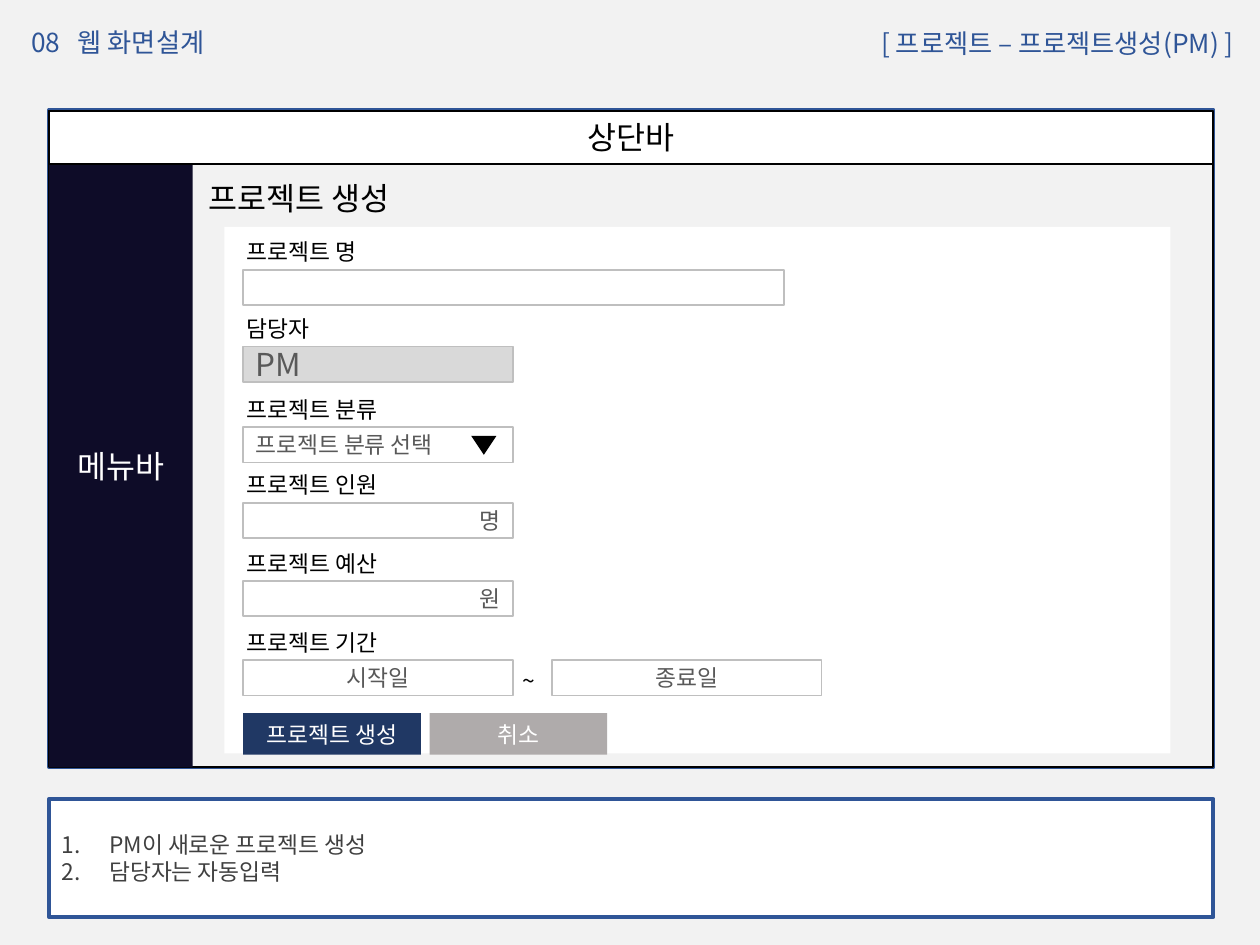
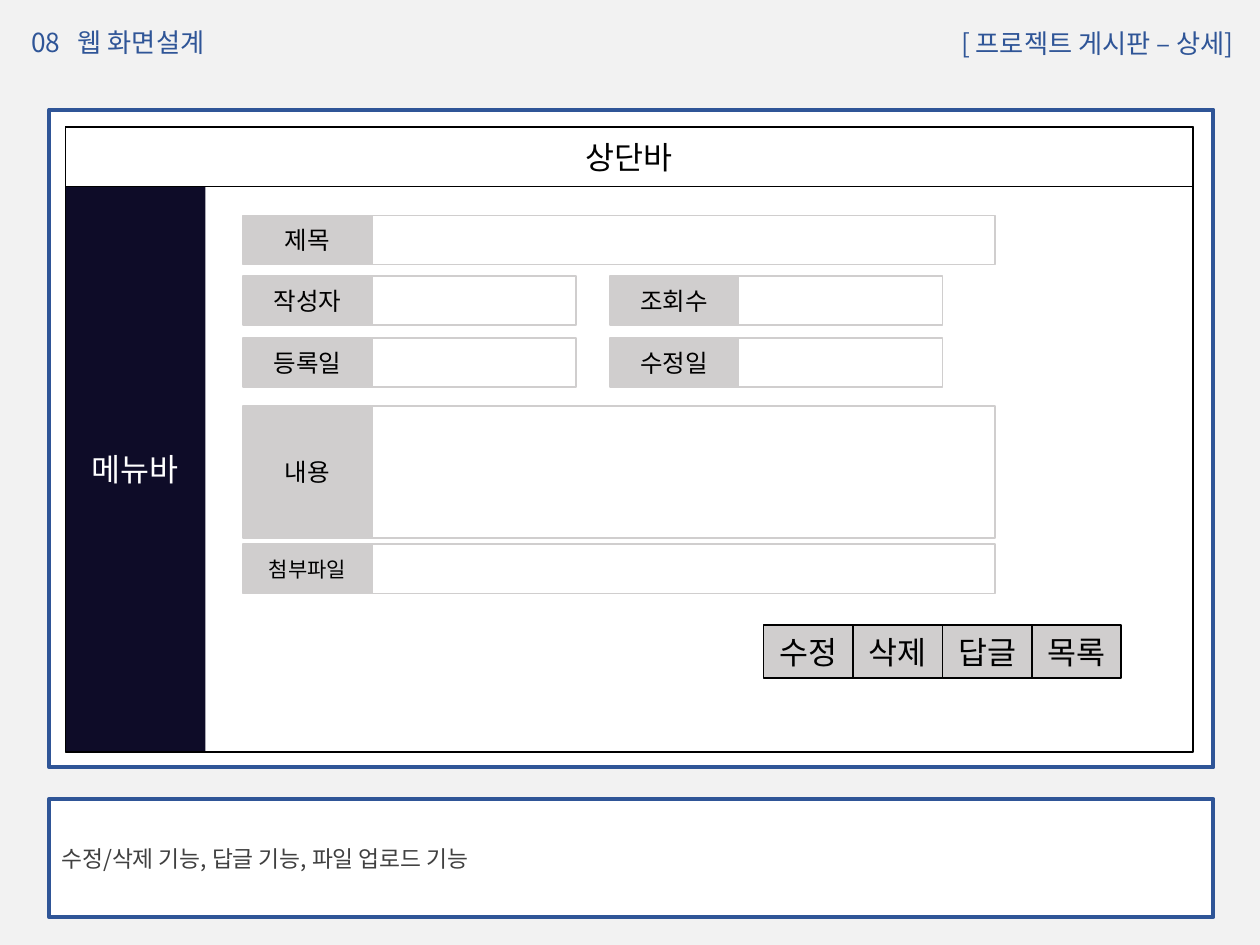
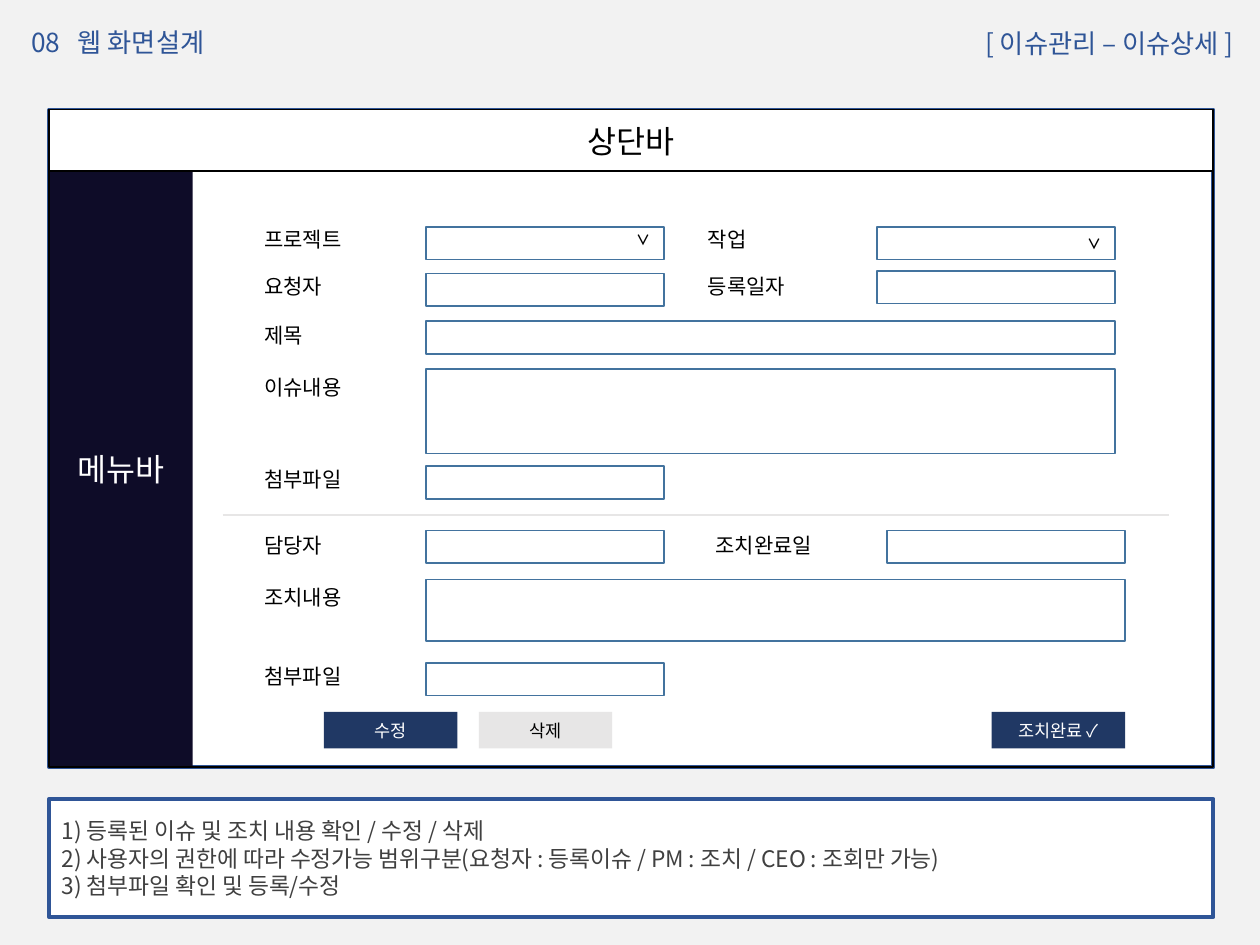
from dataclasses import dataclass

from lxml.etree import SubElement
from pptx import Presentation
from pptx.dml.color import RGBColor
from pptx.enum.shapes import MSO_CONNECTOR, MSO_SHAPE as Geo
from pptx.enum.text import MSO_ANCHOR, MSO_AUTO_SIZE, PP_ALIGN as Align
from pptx.oxml.ns import qn
from pptx.util import Inches, Pt


@dataclass(frozen=True)
class Theme:
    font: str = "Noto Sans CJK KR"
    alt_font: str = "Calibri"
    blue: str = "2F5597"
    navy: str = "203864"
    menu: str = "0E0C28"
    page: str = "F2F2F2"
    white: str = "FFFFFF"
    black: str = "000000"
    note: str = "404040"
    hint: str = "595959"
    border: str = "BFBFBF"
    locked: str = "D9D9D9"
    cancel: str = "AFABAB"
    cell: str = "D0CECE"
    steel: str = "43739E"
    pale: str = "E7E6E6"
    bar_size: float = 18
    title_size: float = 15
    cell_size: float = 14
    body_size: float = 13
    label_size: float = 12
    button_size: float = 10
    mark_size: float = 8


T = Theme()


@dataclass(frozen=True)
class Area:
    x: float
    y: float
    w: float
    h: float

    def emu(self) -> tuple:
        return tuple(Inches(v) for v in (self.x, self.y, self.w, self.h))


@dataclass(frozen=True)
class Style:
    size: float = T.body_size
    color: str = T.black
    align: Align = Align.LEFT
    font: str = T.font
    bold: bool = False


@dataclass(frozen=True)
class Paint:
    fill: str | None = None
    line: str | None = None
    width: float = 1


@dataclass(frozen=True)
class Field:
    area: Area
    label: str
    text: str = ""
    align: Align = Align.LEFT
    fill: str = T.white
    size: float = T.body_size


FRAME = Area(0.39, 0.87, 9.24, 5.22)
NOTES = Area(0.39, 6.34, 9.24, 0.94)
PANEL = Paint(T.white, T.blue, 2.25)
INPUT = Paint(line=T.steel)
LABEL = Style(T.label_size)


def write(tf, lines: list[str], style: Style, numbered: bool = False, tab: float = 0) -> None:
    for i, line in enumerate(lines):
        p = tf.paragraphs[0] if i == 0 else tf.add_paragraph()
        p.alignment = style.align
        pPr = p._p.get_or_add_pPr()
        if numbered:
            pPr.set("marL", str(Inches(0.38)))
            pPr.set("indent", str(-Inches(0.38)))
            SubElement(pPr, qn("a:buFont"), typeface=style.font)
            SubElement(pPr, qn("a:buAutoNum"), type="arabicPeriod")
        if tab:
            tabs = SubElement(pPr, qn("a:tabLst"))
            SubElement(tabs, qn("a:tab"), pos=str(Inches(tab)), algn="l")
        r = p.add_run()
        r.text = line
        formats = {"name": style.font, "size": Pt(style.size), "bold": style.bold}
        for key, value in formats.items():
            setattr(r.font, key, value)
        r.font.color.rgb = RGBColor.from_string(style.color)
        SubElement(r._r.get_or_add_rPr(), qn("a:ea"), typeface=style.font)


def box(s, area: Area, paint: Paint, lines: list[str] | str = "", style: Style = Style(),
        numbered: bool = False, geo: Geo = Geo.RECTANGLE):
    sp = s.shapes.add_shape(geo, *area.emu())
    sp.shadow.inherit = False
    for fill, color in ((sp.fill, paint.fill), (sp.line.fill, paint.line)):
        if color:
            fill.solid()
            fill.fore_color.rgb = RGBColor.from_string(color)
        else:
            fill.background()
    if paint.line:
        sp.line.width = Pt(paint.width)
    if lines:
        sp.text_frame.vertical_anchor = MSO_ANCHOR.MIDDLE
        sp.text_frame.word_wrap = True
        write(sp.text_frame, [lines] if isinstance(lines, str) else lines, style, numbered)
    return sp


def label(s, area: Area, text: str, style: Style = Style(), wrap: bool = True,
          tab: float = 0) -> None:
    tf = s.shapes.add_textbox(*area.emu()).text_frame
    tf.word_wrap = wrap
    tf.auto_size = MSO_AUTO_SIZE.SHAPE_TO_FIT_TEXT
    write(tf, [text], style, tab=tab)


def rule(s, x1: float, x2: float, y: float) -> None:
    line = s.shapes.add_connector(MSO_CONNECTOR.STRAIGHT, Inches(x1), Inches(y),
                                  Inches(x2), Inches(y))
    line.line.color.rgb = RGBColor.from_string(T.pale)
    line.line.width = Pt(1)
    SubElement(line._element.spPr, qn("a:effectLst"))


def base_slide(prs, title: str, notes: list[str], numbered: bool = False):
    """Add a slide with the heading, the screen frame and the notes panel."""
    s = prs.slides.add_slide(prs.slide_layouts[6])
    box(s, Area(0, 0, 10, 7.5), Paint(T.page))
    box(s, FRAME, PANEL)
    box(s, NOTES, PANEL, notes, Style(color=T.note), numbered)
    label(s, Area(0.15, 0.16, 2.94, 0.35), "08\t웹 화면설계",
          Style(T.title_size, T.blue), tab=0.37)
    label(s, Area(5.89, 0.17, 4, 0.35), title, Style(T.title_size, T.blue, Align.RIGHT))
    return s


def app_shell(s, area: Area, bar_h: float, menu_w: float, font: str = T.font,
              fill: str | None = None) -> None:
    """Draw the top bar, the side menu and the outline of the mocked-up screen."""
    outline = Paint(fill, T.black)
    if fill:
        box(s, area, outline)
    box(s, Area(area.x, area.y + bar_h, menu_w, area.h - bar_h), Paint(T.menu), "메뉴바",
        Style(T.bar_size, T.white, Align.CENTER, font))
    box(s, Area(area.x, area.y, area.w, bar_h), Paint(T.white, T.black), "상단바",
        Style(T.bar_size, T.black, Align.CENTER, font))
    if not fill:
        box(s, area, outline)


def project_form(prs) -> None:
    s = base_slide(prs, "[ 프로젝트 – 프로젝트생성(PM) ]",
                   ["PM이 새로운 프로젝트 생성", "담당자는 자동입력"], numbered=True)
    app_shell(s, Area(0.39, 0.88, 9.24, 5.21), 0.42, 1.14, fill=T.page)
    label(s, Area(1.56, 1.37, 1.92, 0.4), "프로젝트 생성", Style(T.bar_size))
    box(s, Area(1.78, 1.8, 7.51, 4.18), Paint(T.white))

    x, w, h = 1.93, 2.14, 0.28
    fields = [
        Field(Area(x, 2.14, 4.29, h), "프로젝트 명"),
        Field(Area(x, 2.75, w, h), "담당자", "PM", fill=T.locked, size=T.bar_size),
        Field(Area(x, 3.39, w, h), "프로젝트 분류", "프로젝트 분류 선택"),
        Field(Area(x, 3.99, w, h), "프로젝트 인원", "명", Align.RIGHT),
        Field(Area(x, 4.61, w, h), "프로젝트 예산", "원", Align.RIGHT),
        Field(Area(x, 5.24, w, h), "프로젝트 기간", "시작일", Align.CENTER),
        Field(Area(4.38, 5.24, w, h), "", "종료일", Align.CENTER),
    ]
    for f in fields:
        if f.label:
            label(s, Area(1.86, f.area.y - 0.3, 1.38, 0.32), f.label)
        box(s, f.area, Paint(f.fill, T.border), f.text, Style(f.size, T.hint, f.align))
    arrow = box(s, Area(3.74, 3.46, 0.2, 0.15), Paint(T.black), geo=Geo.ISOSCELES_TRIANGLE)
    arrow._element.spPr.get_or_add_xfrm().set("flipV", "1")
    label(s, Area(4.01, 5.24, 0.38, 0.32), "~", Style(align=Align.CENTER))
    for i, (text, fill) in enumerate((("프로젝트 생성", T.navy), ("취소", T.cancel))):
        box(s, Area(x + 1.48 * i, 5.66, 1.41, 0.33), Paint(fill), text,
            Style(color=T.white, align=Align.CENTER))


def board_detail(prs) -> None:
    s = base_slide(prs, "[ 프로젝트 게시판 – 상세]", ["수정/삭제 기능, 답글 기능, 파일 업로드 기능"])
    app_shell(s, Area(0.52, 1.01, 8.95, 4.96), 0.47, 1.11, T.alt_font)

    left, right, head_w, short, wide, row_h = 1.93, 4.84, 1.02, 1.62, 4.95, 0.39
    cells = [
        Field(Area(left, 1.71, wide, row_h), "제목", size=T.cell_size),
        Field(Area(left, 2.19, short, row_h), "작성자", size=T.cell_size),
        Field(Area(right, 2.19, short, row_h), "조회수", size=T.cell_size),
        Field(Area(left, 2.68, short, row_h), "등록일", size=T.cell_size),
        Field(Area(right, 2.68, short, row_h), "수정일", size=T.cell_size),
        Field(Area(left, 3.22, wide, 1.05), "내용", size=T.cell_size),
        Field(Area(left, 4.32, wide, row_h), "첨부파일", size=T.label_size),
    ]
    for c in cells:
        a = c.area
        box(s, Area(a.x, a.y, head_w, a.h), Paint(T.cell, T.cell), c.label,
            Style(c.size, align=Align.CENTER, font=T.alt_font))
        box(s, Area(a.x + head_w, a.y, a.w, a.h), Paint(c.fill, T.cell))
    for i, text in enumerate(("수정", "삭제", "답글", "목록")):
        box(s, Area(6.06 + 0.71 * i, 4.96, 0.71, 0.42), Paint(T.cell, T.black), text,
            Style(T.bar_size, align=Align.CENTER, font=T.alt_font))


def issue_detail(prs) -> None:
    s = base_slide(prs, "[ 이슈관리 – 이슈상세 ]", [
        "1) 등록된 이슈 및 조치 내용 확인 / 수정 / 삭제",
        "2) 사용자의 권한에 따라 수정가능 범위구분(요청자 : 등록이슈 / PM : 조치 / CEO : 조회만 가능)",
        "3) 첨부파일 확인 및 등록/수정",
    ])
    app_shell(s, FRAME, 0.49, 1.14)

    label_x, x, w, h = 2, 3.38, 1.89, 0.26
    rows = [
        (label_x, 1.75, "프로젝트", Area(x, 1.8, w, h)),
        (label_x, 2.12, "요청자", Area(x, 2.17, w, h)),
        (label_x, 2.51, "제목", Area(x, 2.55, 5.47, h)),
        (label_x, 2.92, "이슈내용", Area(x, 2.93, 5.47, 0.67)),
        (label_x, 3.65, "첨부파일", Area(x, 3.7, w, h)),
        (5.52, 1.75, "작업", Area(6.96, 1.8, w, h)),
        (5.52, 2.12, "등록일자", Area(6.96, 2.15, w, h)),
        (label_x, 4.18, "담당자", Area(x, 4.21, w, h)),
        (label_x, 4.59, "조치내용", Area(x, 4.6, 5.55, 0.49)),
        (label_x, 5.22, "첨부파일", Area(x, 5.26, w, h)),
        (5.58, 4.18, "조치완료일", Area(7.04, 4.21, w, h)),
    ]
    for text_x, text_y, text, area in rows:
        label(s, Area(text_x, text_y, 1.45, 0.32), text, LABEL)
        box(s, area, INPUT)
    rule(s, 1.77, 9.28, 4.09)

    buttons = [(2.57, "수정", T.navy, T.white), (3.8, "삭제", T.pale, T.black),
               (7.87, "조치완료 ✓", T.navy, T.white)]
    for left, text, fill, color in buttons:
        box(s, Area(left, 5.65, 1.06, 0.29), Paint(fill), text,
            Style(T.button_size, color, Align.CENTER))
    for left, top in ((4.95, 1.79), (8.53, 1.82)):
        label(s, Area(left, top, 0.32, 0.25), "∨", Style(T.mark_size, bold=True), wrap=False)


def main() -> None:
    prs = Presentation()
    prs.slide_width, prs.slide_height = Inches(10), Inches(7.5)
    for build in (project_form, board_detail, issue_detail):
        build(prs)
    prs.save("out.pptx")


if __name__ == "__main__":
    main()
